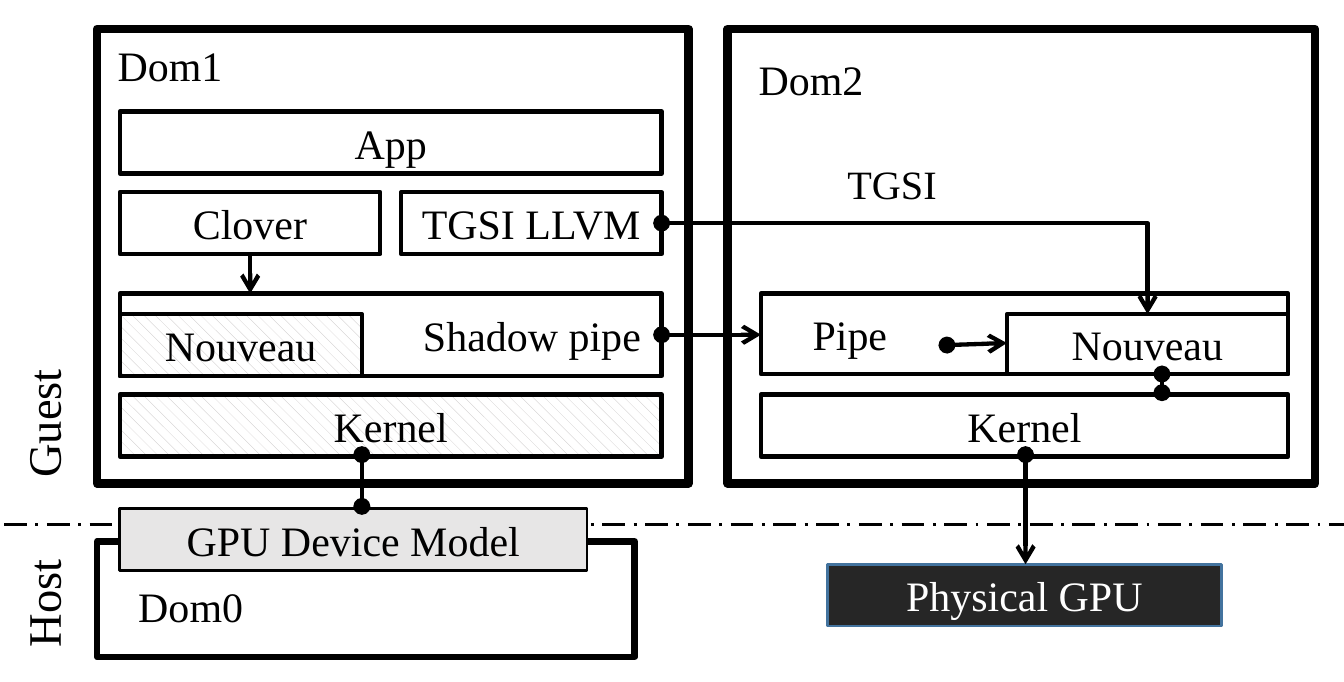
from lxml.etree import SubElement
from pptx import Presentation
from pptx.dml.color import RGBColor
from pptx.enum.dml import MSO_LINE, MSO_PATTERN
from pptx.enum.shapes import MSO_CONNECTOR, MSO_SHAPE
from pptx.enum.text import MSO_ANCHOR, PP_ALIGN
from pptx.oxml.ns import qn
from pptx.util import Inches, Pt

COLORS = {"ink": "000000", "white": "FFFFFF", "gray": "E7E6E6",
          "dark": "262626", "blue": "43739E", "hatch": "D0CECE"}
FONT = "Times New Roman"
SIZE = 14.6
ROW = 0.3      # height of a plain layer
PAD = 0.11     # gap from the Dom1 frame to its layers
LAYER = 2.62   # width of a Dom1 layer
PIPE_Y, DRIVER_Y, KERNEL_Y = 1.28, 1.38, 1.77  # offsets shared by both guests


def rgb(name):
    """Look up a named colour."""
    return RGBColor.from_string(COLORS[name])


def write(shape, text, size=SIZE, color="ink", align=PP_ALIGN.CENTER):
    """Put formatted text into a shape."""
    frame = shape.text_frame
    frame.text = text
    para = frame.paragraphs[0]
    para.alignment = align
    for run in para.runs:
        run.font.name = FONT
        run.font.size = Pt(size)
        run.font.color.rgb = rgb(color)


def add_box(slide, x, y, w, h, text="", fill=None, line="ink", weight=1.5,
            color="ink", align=PP_ALIGN.CENTER, inset=0.05):
    """Draw a rectangle; the fill may be plain, hatched or absent."""
    box = slide.shapes.add_shape(MSO_SHAPE.RECTANGLE, Inches(x), Inches(y),
                                 Inches(w), Inches(h))
    box.shadow.inherit = False
    if fill is None:
        box.fill.background()
    elif fill == "hatch":
        box.fill.patterned()
        box.fill.pattern = MSO_PATTERN.WIDE_DOWNWARD_DIAGONAL
        box.fill.fore_color.rgb = rgb("hatch")
        box.fill.back_color.rgb = rgb("white")
    else:
        box.fill.solid()
        box.fill.fore_color.rgb = rgb(fill)
    box.line.color.rgb = rgb(line)
    box.line.width = Pt(weight)
    if text:
        frame = box.text_frame
        frame.vertical_anchor = MSO_ANCHOR.MIDDLE
        frame.margin_left = frame.margin_right = Inches(inset)
        write(box, text, color=color, align=align)


def add_label(slide, x, y, w, h, text, size=SIZE, turn=0):
    """Add free text, turned if asked."""
    label = slide.shapes.add_textbox(Inches(x), Inches(y), Inches(w), Inches(h))
    label.text_frame.word_wrap = False
    label.rotation = turn
    write(label, text, size, align=PP_ALIGN.LEFT)


def add_link(slide, x1, y1, x2, y2, head=None, tail=None, weight=1.5, bent=False):
    """Connect two points, with optional line ends."""
    kind = MSO_CONNECTOR.ELBOW if bent else MSO_CONNECTOR.STRAIGHT
    link = slide.shapes.add_connector(kind, Inches(x1), Inches(y1),
                                      Inches(x2), Inches(y2))
    link.line.color.rgb = rgb("ink")
    link.line.width = Pt(weight)
    props = link._element.spPr
    if bent:
        props.find(qn("a:prstGeom")).set("prst", "bentConnector2")
    for tag, end in (("a:headEnd", head), ("a:tailEnd", tail)):
        if end:
            SubElement(props.find(qn("a:ln")), qn(tag)).set("type", end)
    SubElement(props, qn("a:effectLst"))
    return link


def add_host(slide, x, y):
    """Draw Dom0, its device model and the physical GPU."""
    add_box(slide, x, y, 2.6, 0.56, weight=2.25)
    add_label(slide, x + 0.1, y + 0.14, 0.71, 0.35, "Dom0")
    add_box(slide, x + PAD, y - 0.16, 2.26, ROW, "GPU Device Model", "gray", weight=1)
    add_box(slide, x + 3.53, y + PAD, 1.91, ROW, "Physical GPU", "dark", "blue",
            1, "white")


def add_dom1(slide, x, y):
    """Draw the guest that shadows the pipe."""
    add_box(slide, x, y, 2.86, 2.2, weight=3)
    add_label(slide, x, y, 0.71, 0.35, "Dom1")
    left, half = x + PAD, 1.26
    add_box(slide, left, y + 0.4, LAYER, ROW, "App")
    add_box(slide, left, y + 0.79, half, ROW, "Clover")
    add_box(slide, left + LAYER - half, y + 0.79, half, ROW, "TGSI LLVM")
    add_box(slide, left, y + DRIVER_Y, 1.17, ROW, "Nouveau", "hatch")
    add_box(slide, left, y + PIPE_Y, LAYER, 0.4, "Shadow pipe",
            align=PP_ALIGN.RIGHT, inset=0.1)
    add_box(slide, left, y + KERNEL_Y, LAYER, ROW, "Kernel", "hatch")
    add_link(slide, left + half / 2, y + 1.09, left + half / 2, y + PIPE_Y,
             tail="arrow")
    add_link(slide, x + 1.28, y + 2.06, x + 1.28, y + 2.31, "oval", "oval")


def add_dom2(slide, x, y):
    """Draw the guest that drives the GPU."""
    add_box(slide, x, y, 2.84, 2.2, weight=3)
    add_label(slide, x + 0.05, y + 0.07, 0.71, 0.35, "Dom2")
    add_label(slide, x + 0.48, y + 0.58, 0.64, 0.34, "TGSI", 14)
    left, wide = x + 0.16, 2.55
    add_box(slide, left, y + KERNEL_Y, wide, ROW, "Kernel")
    add_box(slide, x + 1.35, y + DRIVER_Y, 1.36, 0.29, "Nouveau")
    add_box(slide, left, y + PIPE_Y, wide, 0.39, "Pipe",
            align=PP_ALIGN.LEFT, inset=0.25)
    add_link(slide, x + 1.06, y + 1.53, x + 1.35, y + 1.52, "oval", "arrow")
    add_link(slide, x + 2.1, y + 1.67, x + 2.1, y + 1.76, "oval", "oval")
    add_link(slide, x + 1.44, y + 2.06, x + 1.44, y + 2.59, "oval", "arrow")


def add_bridge(slide, x, y):
    """Link Dom1 to Dom2, from the right edge of the Dom1 layers."""
    add_link(slide, x, y + 1.48, x + 0.48, y + 1.48, "oval", "arrow")
    add_link(slide, x, y + 0.94, x + 2.35, y + DRIVER_Y, "oval", "arrow", bent=True)


def add_split(slide, x, y):
    """Draw the dashed border between guest and host, with side labels."""
    border = add_link(slide, x, y, x + 6.54, y, weight=1)
    border.line.dash_style = MSO_LINE.LONG_DASH_DOT
    add_label(slide, x - 0.18, y - 0.68, 0.73, 0.37, "Guest", 16.2, 270)
    add_label(slide, x - 0.13, y + 0.19, 0.63, 0.37, "Host", 16.2, 270)


def main():
    """Build and save the slide."""
    deck = Presentation()
    deck.slide_width, deck.slide_height = Inches(6.5), Inches(3.3)
    slide = deck.slides.add_slide(deck.slide_layouts[6])
    left, top = 0.47, 0.14
    add_split(slide, 0.02, 2.54)
    add_host(slide, left, 2.62)
    add_dom1(slide, left, top)
    add_dom2(slide, 3.52, top)
    add_bridge(slide, left + PAD + LAYER, top)
    deck.save("out.pptx")


main()
